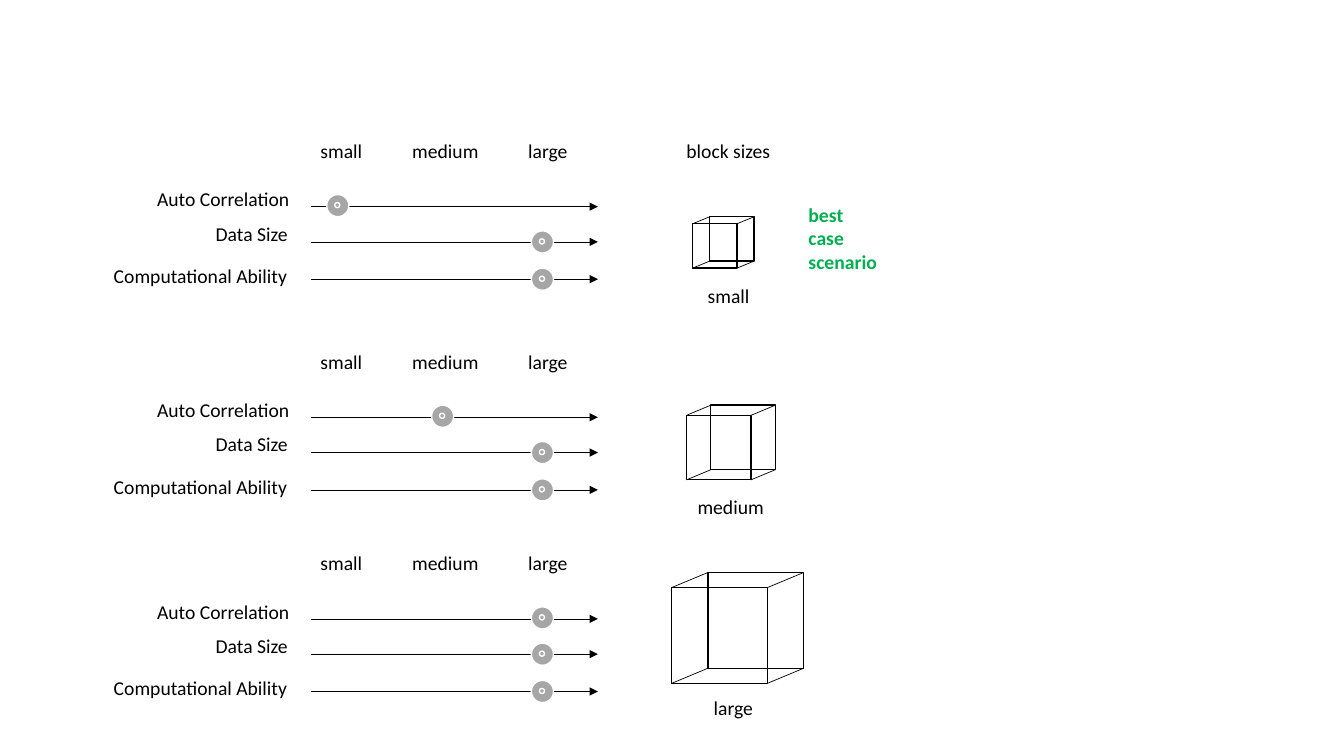
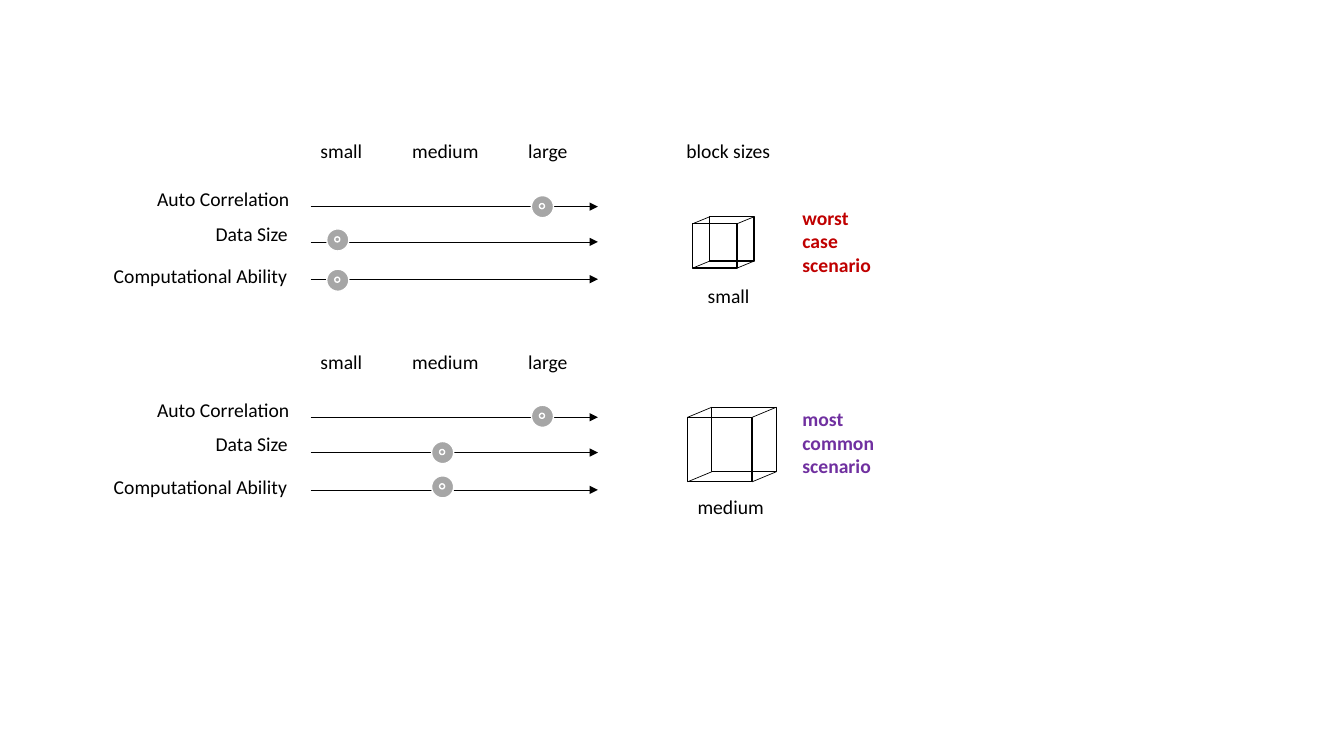
import dataclasses

import lxml.etree
import pptx
import pptx.dml.color
import pptx.enum.shapes
import pptx.enum.text
import pptx.oxml.ns
import pptx.util


@dataclasses.dataclass(frozen=True)
class Theme:
    ink: str = "000000"
    paper: str = "FFFFFF"
    knob: str = "A6A6A6"
    best: str = "00B050"
    worst: str = "C00000"
    common: str = "7030A0"
    font: str = "Calibri"
    text_size: int = 14
    thin: float = 0.5
    thick: float = 1


theme = Theme()
PX = 9144
OVAL = pptx.enum.shapes.MSO_SHAPE.OVAL
RECTANGLE = pptx.enum.shapes.MSO_SHAPE.RECTANGLE
STRAIGHT = pptx.enum.shapes.MSO_CONNECTOR.STRAIGHT

scale_words = [("small", 308, 63), ("medium", 399, 86), ("large", 514, 60)]
factors = [
    ("Auto Correlation", 146, 181, 154, 205, 193),
    ("Data Size", 204, 215, 96, 240, 229),
    ("Computational Ability", 103, 257, 196, 277, 266),
]
knob_left = {"small": 324, "medium": 428, "large": 527}
knob_size, hole_inset, hole_size = 22, 8, 5
captions = {"small": (692, 62), "medium": (682, 86), "large": (698, 60)}
axis_start, axis_end = 308, 593
words_top, caption_top = 133, 277

slides = [
    {
        "panels": [
            (0, [("small", 0), ("large", 0), ("large", 0)], "small", (704, 215, 44)),
            (209, [("medium", 0), ("large", 0), ("large", 0)], "medium", (705, 402, 64)),
            (409, [("large", 0), ("large", 0), ("large", 0)], "large", (702, 568, 95)),
        ],
        "scenarios": [("best case scenario", theme.best, (792, 196, 91, 81))],
    },
    {
        "panels": [
            (0, [("large", 1), ("small", -2), ("small", 1)], "small", (704, 215, 44)),
            (209, [("large", 0), ("medium", 0), ("medium", -3)], "medium", (706, 404, 64)),
        ],
        "scenarios": [
            ("worst case scenario", theme.worst, (786, 199, 95, 81)),
            ("most common scenario", theme.common, (786, 399, 117, 81)),
        ],
    },
]


def write(slide, text, box, color=theme.ink, bold=False, wrap=False):
    frame = slide.shapes.add_textbox(*[n * PX for n in box]).text_frame
    frame.word_wrap = wrap
    frame.auto_size = pptx.enum.text.MSO_AUTO_SIZE.SHAPE_TO_FIT_TEXT
    run = frame.paragraphs[0].add_run()
    run.text = text
    formats = {"name": theme.font, "size": pptx.util.Pt(theme.text_size), "bold": bold}
    for attribute, value in formats.items():
        setattr(run.font, attribute, value)
    run.font.color.rgb = pptx.dml.color.RGBColor.from_string(color)


def draw(shapes, kind, box, color, width, fill=None):
    lengths = [n * PX for n in box]
    if kind is STRAIGHT:
        figure = shapes.add_connector(kind, *lengths)
    else:
        figure = shapes.add_shape(kind, *lengths)
        if fill:
            figure.fill.solid()
            figure.fill.fore_color.rgb = pptx.dml.color.RGBColor.from_string(fill)
        else:
            figure.fill.background()
    figure.line.color.rgb = pptx.dml.color.RGBColor.from_string(color)
    figure.line.width = pptx.util.Pt(width)
    lxml.etree.SubElement(figure.element.spPr, pptx.oxml.ns.qn("a:effectLst"))
    return figure


deck = pptx.Presentation()
deck.slide_width = 1333 * PX
deck.slide_height = 750 * PX

for content in slides:
    slide = deck.slides.add_slide(deck.slide_layouts[6])
    write(slide, "block sizes", (671, words_top, 104, 34))

    for offset, levels, block_size, (left, top, side) in content["panels"]:
        for word, word_left, word_width in scale_words:
            write(slide, word, (word_left, words_top + offset, word_width, 34))

        for factor, (level, nudge) in zip(factors, levels):
            label, label_left, label_top, label_width, axis_y, knob_top = factor
            write(slide, label, (label_left, label_top + offset, label_width, 34))
            y = axis_y + offset
            axis = draw(slide.shapes, STRAIGHT, (axis_start, y, axis_end, y), theme.ink, theme.thin)
            axis_line = axis.element.spPr.find(pptx.oxml.ns.qn("a:ln"))
            lxml.etree.SubElement(axis_line, pptx.oxml.ns.qn("a:tailEnd"), type="triangle")

            knob = slide.shapes.add_group_shape().shapes
            x, y = knob_left[level], knob_top + offset + nudge
            draw(knob, OVAL, (x, y, knob_size, knob_size), theme.paper, theme.thick, theme.knob)
            hole = (x + hole_inset, y + hole_inset, hole_size, hole_size)
            draw(knob, OVAL, hole, theme.paper, theme.thick)

        cube = slide.shapes.add_group_shape().shapes
        front_left = left - round(0.38 * side)
        front_top = top + round(0.155 * side)
        draw(cube, RECTANGLE, (left, top, side, side), theme.ink, theme.thick, theme.paper)
        draw(cube, RECTANGLE, (front_left, front_top, side, side), theme.ink, theme.thick)
        for dx in (0, side):
            for dy in (0, side):
                edge = (front_left + dx, front_top + dy, left + dx, top + dy)
                draw(cube, STRAIGHT, edge, theme.ink, theme.thin)

        caption_left, caption_width = captions[block_size]
        write(slide, block_size, (caption_left, caption_top + offset, caption_width, 34))

    for scenario, color, box in content["scenarios"]:
        write(slide, scenario, box, color, bold=True, wrap=True)

deck.save("out.pptx")
